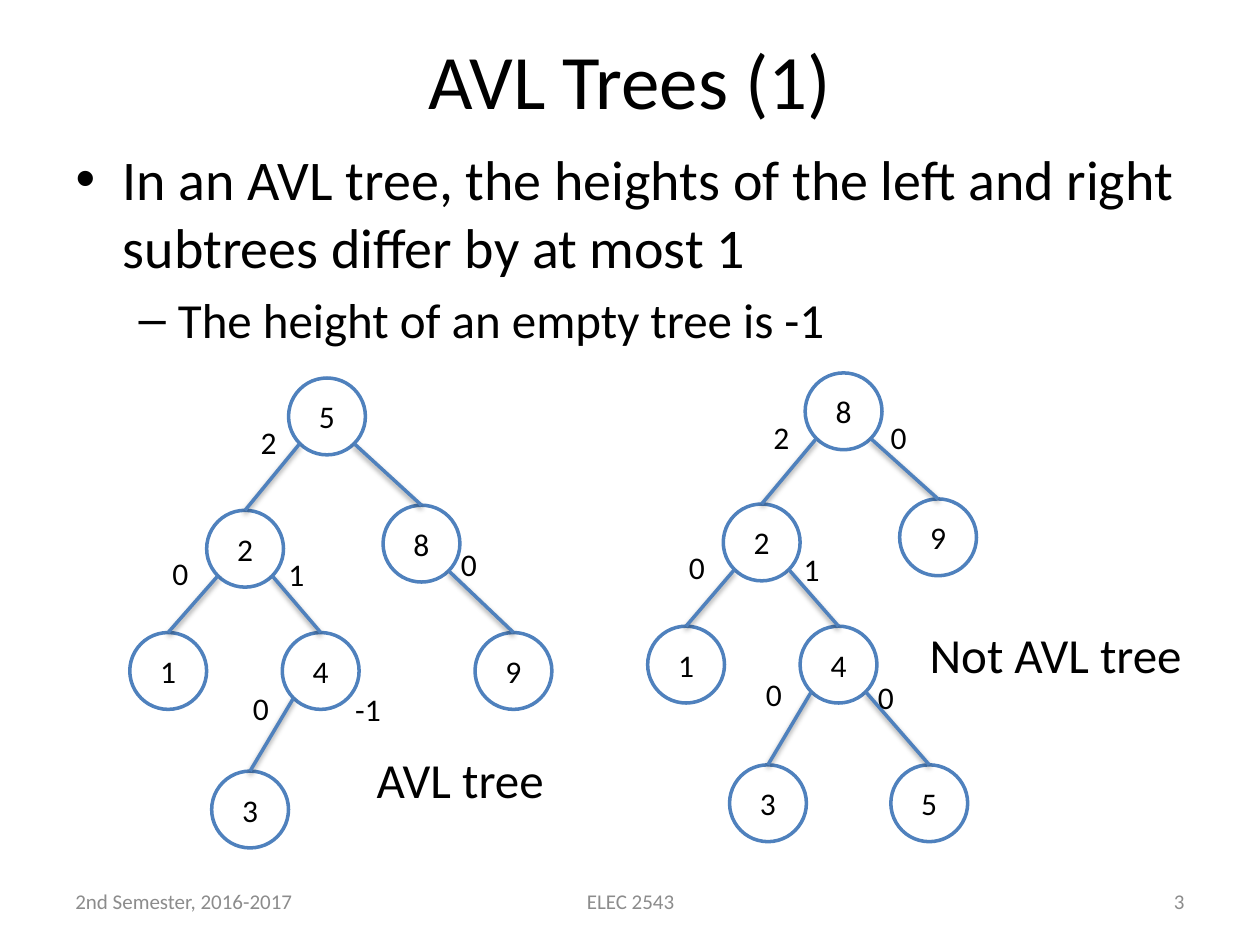
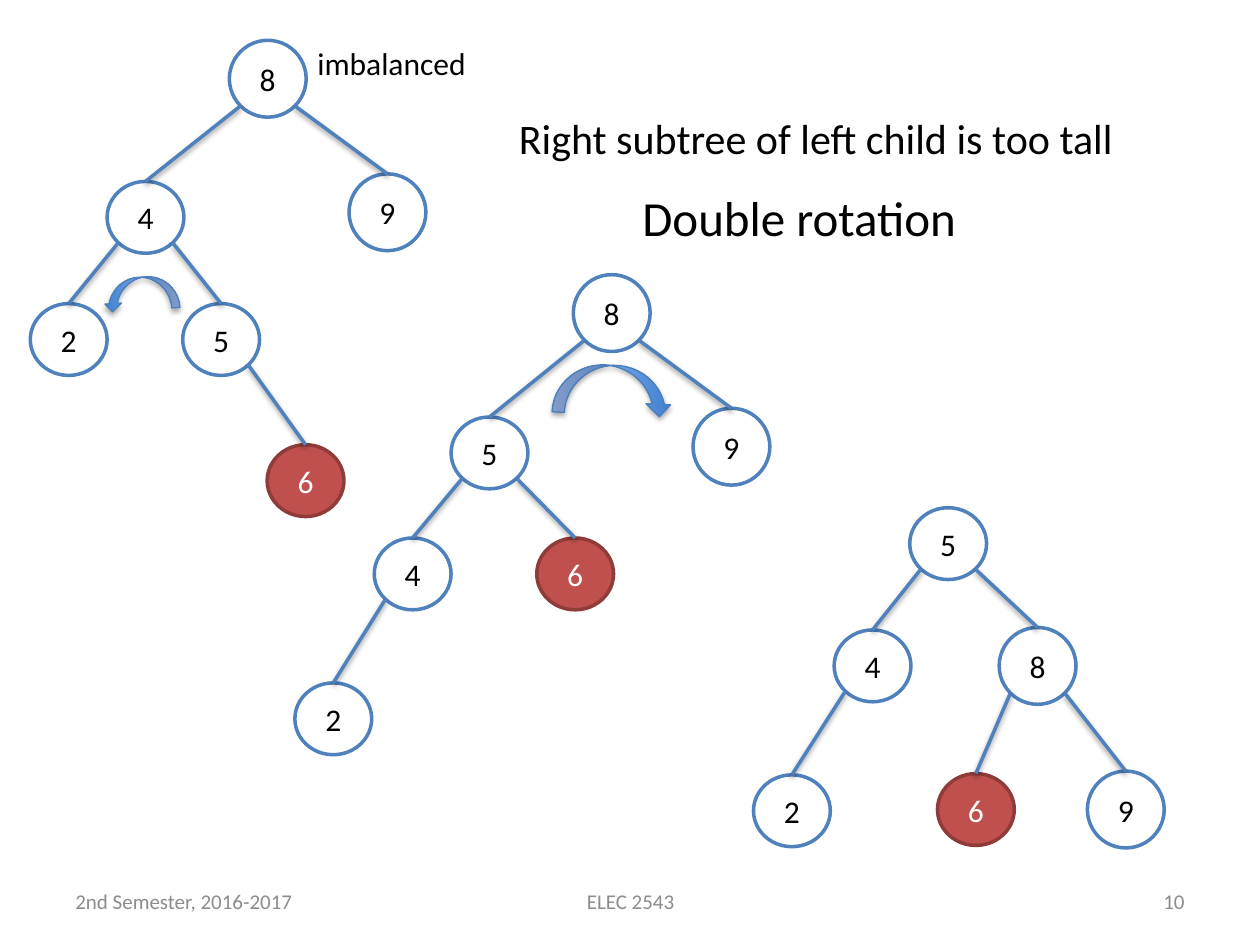
"""Builds two slides on AVL trees: the balance rule and the double rotation."""
from copy import deepcopy

from pptx import Presentation
from pptx.dml.color import RGBColor
from pptx.enum.shapes import MSO_CONNECTOR, MSO_SHAPE
from pptx.enum.text import MSO_ANCHOR, PP_ALIGN
from pptx.oxml import parse_xml
from pptx.oxml.ns import nsdecls
from pptx.util import Inches, Pt

LEFT, CENTER, RIGHT = PP_ALIGN.LEFT, PP_ALIGN.CENTER, PP_ALIGN.RIGHT
TOP, MIDDLE = MSO_ANCHOR.TOP, MSO_ANCHOR.MIDDLE
OVAL, STRAIGHT = MSO_SHAPE.OVAL, MSO_CONNECTOR.STRAIGHT
TURN_LEFT, TURN_RIGHT = MSO_SHAPE.CURVED_RIGHT_ARROW, MSO_SHAPE.CURVED_LEFT_ARROW

BLACK = RGBColor(0x00, 0x00, 0x00)
WHITE = RGBColor(0xFF, 0xFF, 0xFF)
GREY = RGBColor(0x8C, 0x8C, 0x8C)
BLUE = RGBColor(0x4F, 0x81, 0xBD)
RED = RGBColor(0xC0, 0x50, 0x4D)
DARK_RED = RGBColor(0x8E, 0x3B, 0x39)
ARROW_DARK = RGBColor(0x3F, 0x80, 0xCE)
ARROW_LIGHT = RGBColor(0xA4, 0xC4, 0xFF)
ARROW_LINE = RGBColor(0x4B, 0x7E, 0xBC)

FONT = "Calibri"
NODE_WIDTH = 0.61
ROUND, FLAT = 0.61, 0.57
DIAGONAL = 0.3536
INSERTED = "6"

EDGE_SHADOW, ARROW_SHADOW = [
    parse_xml(
        f'<a:effectLst {nsdecls("a")}><a:outerShdw blurRad="{Pt(3.1)}" dist="{Pt(distance)}" '
        'dir="5400000" rotWithShape="0"><a:srgbClr val="000000">'
        f'<a:alpha val="{opacity}000"/></a:srgbClr></a:outerShdw></a:effectLst>'
    )
    for distance, opacity in ((1.6, 38), (1.8, 35))
]


def add_run(frame, text, size, color=BLACK, align=LEFT, anchor=TOP):
    frame.vertical_anchor = anchor
    paragraph = frame.paragraphs[-1]
    paragraph.alignment = align
    run = paragraph.add_run()
    run.text = text
    run.font.name = FONT
    run.font.size = Pt(size)
    run.font.color.rgb = color


def draw_tree(slide, nodes):
    placed = {}
    for value, left, top, height, parent in nodes:
        node = slide.shapes.add_shape(
            OVAL, Inches(left), Inches(top), Inches(NODE_WIDTH), Inches(height))
        node.shadow.inherit = False
        node.fill.solid()
        node.fill.fore_color.rgb = RED if value == INSERTED else WHITE
        node.line.color.rgb = DARK_RED if value == INSERTED else BLUE
        node.line.width = Pt(2)
        add_run(node.text_frame, value, 18, WHITE if value == INSERTED else BLACK, CENTER, MIDDLE)
        center = left + NODE_WIDTH / 2
        placed[value] = (center, top + height / 2, height)
        if parent:
            parent_x, parent_y, parent_height = placed[parent]
            side = -1 if center < parent_x else 1
            edge = slide.shapes.add_connector(
                STRAIGHT,
                Inches(parent_x + side * DIAGONAL * NODE_WIDTH),
                Inches(parent_y + DIAGONAL * parent_height),
                Inches(center), Inches(top))
            edge.line.color.rgb = BLUE
            edge.line.width = Pt(2)
            edge._element.spPr.append(deepcopy(EDGE_SHADOW))


prs = Presentation()
prs.slide_width, prs.slide_height = Inches(10), Inches(7.5)
rule_slide = prs.slides.add_slide(prs.slide_layouts[1])
rotation_slide = prs.slides.add_slide(prs.slide_layouts[6])

title = rule_slide.shapes.title
title.left, title.top, title.width, title.height = Inches(0.5), Inches(0), Inches(9), Inches(1.25)
add_run(title.text_frame, "AVL Trees (1)", 44, BLACK, CENTER, MIDDLE)

rule = rule_slide.placeholders[1]
rule.left, rule.top, rule.width, rule.height = Inches(0.5), Inches(1.1), Inches(9), Inches(1.81)
add_run(rule.text_frame,
        "In an AVL tree, the heights of the left and right subtrees differ by at most 1", 32)
rule.text_frame.add_paragraph().level = 1
add_run(rule.text_frame, "The height of an empty tree is -1", 28)

avl_tree = [
    ("5", 2.29, 3, ROUND, None),
    ("2", 1.64, 4.05, ROUND, "5"),
    ("8", 3.04, 4.01, ROUND, "5"),
    ("1", 1.03, 5.02, ROUND, "2"),
    ("4", 2.24, 5.02, ROUND, "2"),
    ("9", 3.77, 5.02, ROUND, "8"),
    ("3", 1.68, 6.12, ROUND, "4"),
]
unbalanced_tree = [
    ("8", 6.39, 2.96, ROUND, None),
    ("2", 5.74, 4, ROUND, "8"),
    ("9", 7.14, 3.96, ROUND, "8"),
    ("1", 5.14, 4.97, ROUND, "2"),
    ("4", 6.35, 4.97, ROUND, "2"),
    ("3", 5.79, 6.07, ROUND, "4"),
    ("5", 7.07, 6.07, ROUND, "4"),
]
before_rotation = [
    ("8", 1.82, 0.32, ROUND, None),
    ("4", 0.85, 1.44, FLAT, "8"),
    ("9", 2.77, 1.38, ROUND, "8"),
    ("2", 0.24, 2.41, FLAT, "4"),
    ("5", 1.45, 2.41, FLAT, "4"),
    ("6", 2.12, 3.53, FLAT, "5"),
]
after_first_rotation = [
    ("8", 4.55, 2.18, ROUND, None),
    ("5", 3.58, 3.31, FLAT, "8"),
    ("9", 5.5, 3.24, ROUND, "8"),
    ("4", 2.97, 4.27, FLAT, "5"),
    ("6", 4.26, 4.27, FLAT, "5"),
    ("2", 2.34, 5.42, FLAT, "4"),
]
after_second_rotation = [
    ("5", 7.22, 4.03, FLAT, None),
    ("4", 6.62, 5, FLAT, "5"),
    ("8", 7.93, 4.98, ROUND, "5"),
    ("2", 5.98, 6.15, FLAT, "4"),
    ("6", 7.44, 6.14, FLAT, "8"),
    ("9", 8.63, 6.12, ROUND, "8"),
]
for slide, trees in (
    (rule_slide, (avl_tree, unbalanced_tree)),
    (rotation_slide, (before_rotation, after_first_rotation, after_second_rotation)),
):
    for nodes in trees:
        draw_tree(slide, nodes)

subtree_heights = [
    ("2", 1.97, 3.31), ("0", 3.56, 4.28), ("0", 1.27, 4.35), ("1", 2.19, 4.36),
    ("0", 1.91, 5.42), ("-1", 2.72, 5.43),
    ("2", 6.04, 3.27), ("0", 6.97, 3.27), ("0", 5.37, 4.3), ("1", 6.28, 4.32),
    ("0", 5.98, 5.31), ("0", 6.87, 5.33),
]
labels = [(rule_slide, text, left, top, 0.41 if text == "-1" else 0.33, 0.4, 18)
          for text, left, top in subtree_heights]
labels += [
    (rule_slide, "AVL tree", 2.89, 5.9, 1.54, 0.57, 28),
    (rule_slide, "Not AVL tree", 7.28, 4.91, 2.22, 0.57, 28),
    (rotation_slide, "imbalanced", 2.42, 0.3, 1.39, 0.4, 18),
    (rotation_slide, "Right subtree of left child is too tall", 4.02, 0.84, 4.96, 0.5, 24),
    (rotation_slide, "Double rotation", 5, 1.44, 2.72, 0.57, 28),
]
for slide, text, left, top, width, height, size in labels:
    label = slide.shapes.add_textbox(Inches(left), Inches(top), Inches(width), Inches(height))
    label.text_frame.word_wrap = False
    add_run(label.text_frame, text, size)

for direction, left, top, width, height, angle in (
    (TURN_LEFT, 0.99, 2.03, 0.26, 0.6, 86.2),
    (TURN_RIGHT, 4.67, 2.62, 0.39, 0.95, 272.6),
):
    turn = rotation_slide.shapes.add_shape(
        direction, Inches(left), Inches(top), Inches(width), Inches(height))
    turn.rotation = angle
    turn.fill.gradient()
    turn.fill.gradient_angle = 90
    for stop, color in zip(turn.fill.gradient_stops, (ARROW_DARK, ARROW_LIGHT)):
        stop.color.rgb = color
    turn.line.color.rgb = ARROW_LINE
    turn.line.width = Pt(0.75)
    turn._element.spPr.append(deepcopy(ARROW_SHADOW))

for slide, number in ((rule_slide, "3"), (rotation_slide, "10")):
    for text, left, width, align in (
        ("2nd Semester, 2016-2017", 0.5, 2.33, LEFT),
        ("ELEC 2543", 3.42, 3.17, CENTER),
        (number, 7.17, 2.33, RIGHT),
    ):
        footer = slide.shapes.add_textbox(Inches(left), Inches(6.95), Inches(width), Inches(0.4))
        footer.text_frame.word_wrap = True
        add_run(footer.text_frame, text, 12, GREY, align, MIDDLE)

prs.save("out.pptx")
